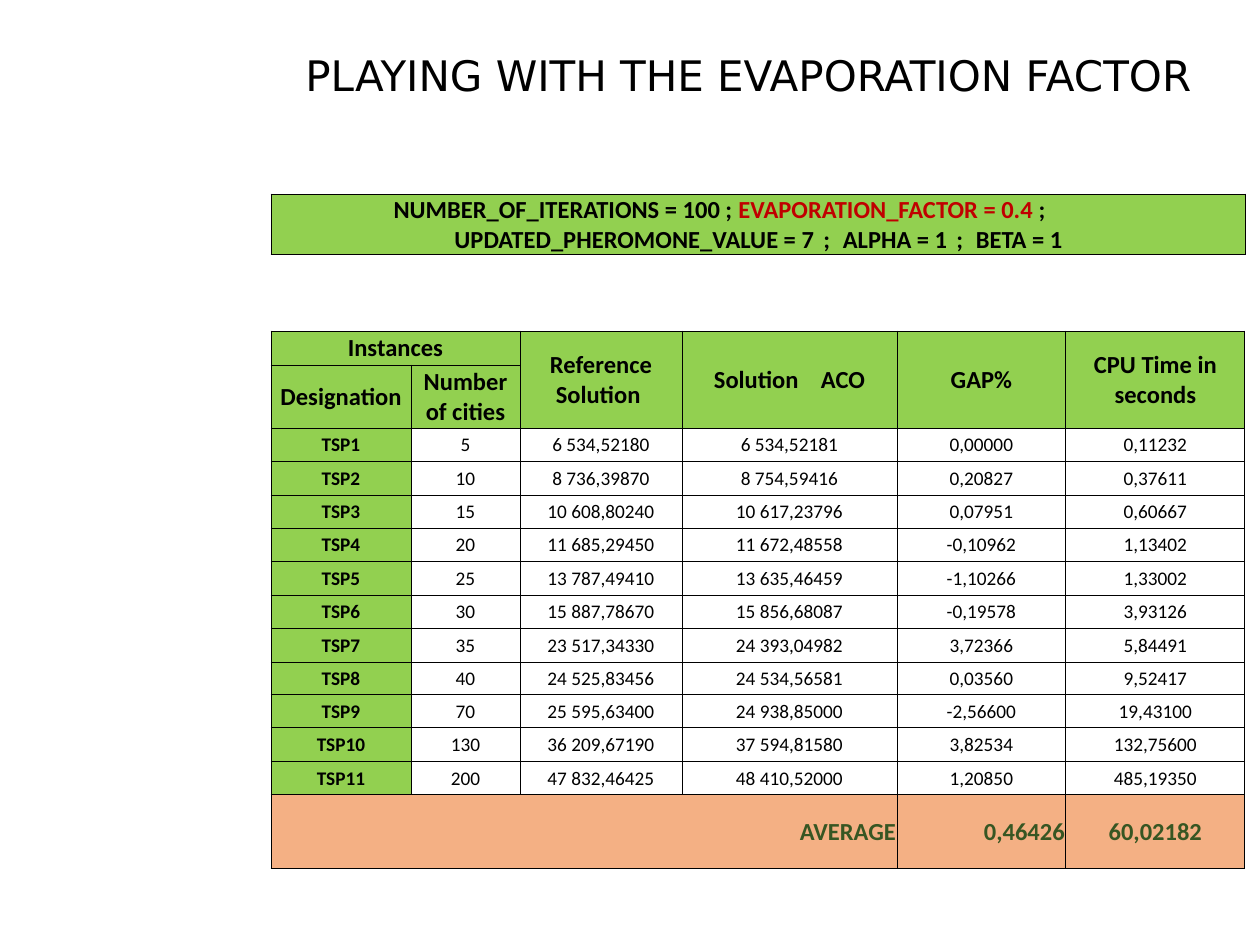
from itertools import pairwise

from lxml import etree
from pptx import Presentation
from pptx import util as u
from pptx.dml.color import RGBColor
from pptx.enum import text
from pptx.oxml.ns import qn

EMU_PER_PX = 914400 / 126
GREEN, ORANGE = "92D050", "F4B084"
BLACK, RED, DARK_GREEN = "000000", "C00000", "375623"
CENTER, RIGHT = text.PP_ALIGN.CENTER, text.PP_ALIGN.RIGHT

RESULTS = [
    ("TSP1", "5", "6 534,52180", "6 534,52181", "0,00000", "0,11232"),
    ("TSP2", "10", "8 736,39870", "8 754,59416", "0,20827", "0,37611"),
    ("TSP3", "15", "10 608,80240", "10 617,23796", "0,07951", "0,60667"),
    ("TSP4", "20", "11 685,29450", "11 672,48558", "-0,10962", "1,13402"),
    ("TSP5", "25", "13 787,49410", "13 635,46459", "-1,10266", "1,33002"),
    ("TSP6", "30", "15 887,78670", "15 856,68087", "-0,19578", "3,93126"),
    ("TSP7", "35", "23 517,34330", "24 393,04982", "3,72366", "5,84491"),
    ("TSP8", "40", "24 525,83456", "24 534,56581", "0,03560", "9,52417"),
    ("TSP9", "70", "25 595,63400", "24 938,85000", "-2,56600", "19,43100"),
    ("TSP10", "130", "36 209,67190", "37 594,81580", "3,82534", "132,75600"),
    ("TSP11", "200", "47 832,46425", "48 410,52000", "1,20850", "485,19350"),
]


def px(n):
    return u.Emu(round(n * EMU_PER_PX))


def rgb(value):
    return RGBColor.from_string(value)


def add_text(p, content, size=14, color=BLACK, bold=True, font="Calibri",
             align=CENTER, gap=0):
    """Append a run; gap is extra letter spacing in points."""
    p.alignment = align
    r = p.add_run()
    r.text = content
    r.font.size, r.font.bold, r.font.name = u.Pt(size), bold, font
    r.font.color.rgb = rgb(color)
    if gap:
        r.font._element.set("spc", str(round(gap * 100)))


class SlideBuilder:
    def __init__(self, s):
        self.s = s
        self.border = BLACK
        self.border_width = u.Pt(0.5)

    def title(self, content, x, y, w, h):
        sp = self.s.shapes.title
        sp.left, sp.top, sp.width, sp.height = map(px, (x, y, w, h))
        tf = sp.text_frame
        tf.word_wrap = True
        tf.vertical_anchor = text.MSO_ANCHOR.MIDDLE
        add_text(tf.paragraphs[0], content, size=24, bold=False, font="DejaVu Sans")

    def table(self, xs, ys):
        """Add a plain bordered table from its column and row edges."""
        frame = self.s.shapes.add_table(
            len(ys) - 1, len(xs) - 1, px(xs[0]), px(ys[0]),
            px(xs[-1] - xs[0]), px(ys[-1] - ys[0]))
        table = frame.table
        table.first_row = table.horz_banding = False
        for column, (a, b) in zip(table.columns, pairwise(xs)):
            column.width = px(b - a)
        for row, (a, b) in zip(table.rows, pairwise(ys)):
            row.height = px(b - a)
        for cell in table.iter_cells():
            cell.vertical_anchor = text.MSO_ANCHOR.MIDDLE
            cell.margin_left = cell.margin_right = cell.margin_top = px(1)
            cell.margin_bottom = 0
            cell.fill.background()
            self.outline(cell)
        return table

    def outline(self, cell):
        tc_pr = cell._tc.get_or_add_tcPr()
        for i, side in enumerate(("a:lnL", "a:lnR", "a:lnT", "a:lnB")):
            ln = etree.Element(qn(side), w=str(self.border_width))
            fill = etree.SubElement(ln, qn("a:solidFill"))
            etree.SubElement(fill, qn("a:srgbClr"), val=self.border)
            tc_pr.insert(i, ln)

    def cell(self, cell, content="", fill=None, end=None, **fmt):
        """Fill and write a cell, first merging it through to end."""
        if end is not None:
            cell.merge(end)
        if fill:
            cell.fill.solid()
            cell.fill.fore_color.rgb = rgb(fill)
        p = cell.text_frame.paragraphs[0]
        if content:
            add_text(p, content, **fmt)
        return p


def add_parameters(b, left, right):
    cell = b.table([left, right], [194, 254]).cell(0, 0)
    shift = 78  # the first line is centred left of the second
    cell.margin_right = px(shift)
    p = b.cell(cell, "NUMBER_OF_ITERATIONS = 100 ; ", GREEN)
    add_text(p, "EVAPORATION_FACTOR = 0.4 ", color=RED)
    add_text(p, ";")
    p = cell.text_frame.add_paragraph()
    p._p.get_or_add_pPr().set("marL", str(px(shift)))
    for i, setting in enumerate(("UPDATED_PHEROMONE_VALUE = 7", "ALPHA = 1", "BETA = 1")):
        if i:
            add_text(p, " ; ", gap=2)
        add_text(p, setting)


def add_results(b, xs):
    first, last, n = 428, 795, len(RESULTS)
    result_edges = [round(first + i * (last - first) / n) for i in range(n + 1)]
    table = b.table(xs, [331, 365, *result_edges, 869])
    at = table.cell

    b.cell(at(0, 0), "Instances", GREEN, at(0, 1))
    b.cell(at(1, 0), "Designation", GREEN)
    b.cell(at(1, 1), "Number of cities", GREEN)
    b.cell(at(0, 2), "Reference Solution ", GREEN, at(1, 2))
    p = b.cell(at(0, 3), "Solution", GREEN, at(1, 3))
    add_text(p, " ", gap=9.5)
    add_text(p, "ACO")
    b.cell(at(0, 4), "GAP%", GREEN, at(1, 4))
    b.cell(at(0, 5), "CPU Time in seconds", GREEN, at(1, 5))

    for i, values in enumerate(RESULTS, start=2):
        for j, value in enumerate(values):
            is_name = j == 0
            b.cell(at(i, j), value, GREEN if is_name else None, size=11, bold=is_name)

    end = n + 2
    b.cell(at(end, 0), "AVERAGE", ORANGE, at(end, 3), color=DARK_GREEN, align=RIGHT)
    b.cell(at(end, 4), "0,46426", ORANGE, color=DARK_GREEN, align=RIGHT)
    b.cell(at(end, 5), "60,02182", ORANGE, color=DARK_GREEN)


def main():
    prs = Presentation()
    prs.slide_width, prs.slide_height = px(1260), px(945)
    b = SlideBuilder(prs.slides.add_slide(prs.slide_layouts[5]))
    xs = [271, 411, 520, 682, 897, 1066, 1245]
    b.title("PLAYING WITH THE EVAPORATION FACTOR", 243, -4, 1011, 158)
    add_parameters(b, xs[0], xs[-1])
    add_results(b, xs)
    prs.save("out.pptx")


if __name__ == "__main__":
    main()
